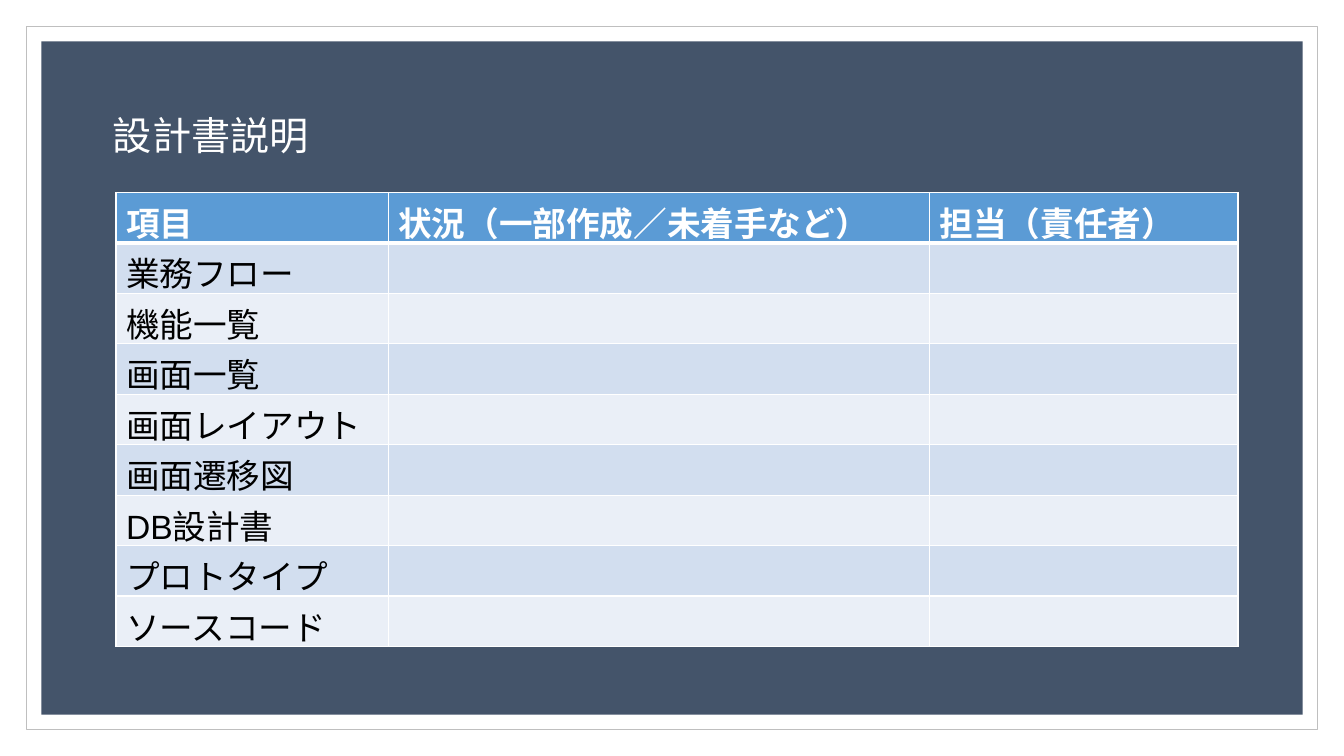
from dataclasses import dataclass

from lxml.etree import SubElement
from pptx import Presentation
from pptx.dml.color import RGBColor
from pptx.enum.shapes import MSO_SHAPE
from pptx.enum.text import MSO_ANCHOR, MSO_AUTO_SIZE, PP_ALIGN
from pptx.oxml.ns import qn
from pptx.util import Inches, Pt


@dataclass(frozen=True)
class Theme:
    white: str = "FFFFFF"
    black: str = "000000"
    outline: str = "BFBFBF"
    panel: str = "44546A"
    header: str = "5B9BD5"
    bands: tuple = ("D2DEEF", "EAEFF7")
    title_font: str = "Roboto"
    table_font: str = "Arial"
    title_size: int = 28
    table_size: int = 24


theme = Theme()


def style_font(font, name, size, color, bold=False):
    font.name, font.size, font.bold = name, Pt(size), bold
    font.color.rgb = RGBColor.from_string(color)


def add_border(cell, side, points):
    line = SubElement(cell._tc.get_or_add_tcPr(), qn(f"a:{side}"), w=str(Pt(points)))
    fill = SubElement(line, qn("a:solidFill"))
    SubElement(fill, qn("a:srgbClr"), val=theme.white)


deck = Presentation()
deck.slide_width, deck.slide_height = Inches(13.33), Inches(7.5)
page = deck.slides.add_slide(deck.slide_layouts[5])

# Outlined frame and dark panel, each centred on the slide
for margin, color, outline in ((0.26, theme.white, theme.outline),
                               (0.41, theme.panel, None)):
    inset = Inches(margin)
    box = page.shapes.add_shape(MSO_SHAPE.RECTANGLE, inset, inset,
                                deck.slide_width - 2 * inset,
                                deck.slide_height - 2 * inset)
    box.shadow.inherit = False
    box.fill.solid()
    box.fill.fore_color.rgb = RGBColor.from_string(color)
    if outline:
        box.line.color.rgb = RGBColor.from_string(outline)
        box.line.width = Pt(0.5)
    else:
        box.line.fill.background()

# Title, brought in front of the panel
title = page.shapes.title
title.element.getparent().append(title.element)
title.left, title.top = Inches(1.02), Inches(1.05)
title.width, title.height = Inches(2.17), Inches(0.57)
frame = title.text_frame
frame.text = "設計書説明"
frame.word_wrap = False
frame.auto_size = MSO_AUTO_SIZE.SHAPE_TO_FIT_TEXT
frame.vertical_anchor = MSO_ANCHOR.TOP
para = frame.paragraphs[0]
para.alignment = PP_ALIGN.LEFT
style_font(para.font, theme.title_font, theme.title_size, theme.white)

# Status table: one header row, then one row per design document
headings = ("項目", "状況（一部作成／未着手など）", "担当（責任者）")
documents = ("業務フロー", "機能一覧", "画面一覧", "画面レイアウト", "画面遷移図",
             "DB設計書", "プロトタイプ", "ソースコード")
rows = [headings] + [(document, "", "") for document in documents]
column_widths = (2.7, 5.37, 3.06)
row_height = Inches(0.5)

table = page.shapes.add_table(len(rows), len(headings), Inches(1.15), Inches(1.91),
                              Inches(sum(column_widths)), row_height * len(rows)).table
for column, width in zip(table.columns, column_widths):
    column.width = Inches(width)

for row_index, texts in enumerate(rows):
    is_header = row_index == 0
    table.rows[row_index].height = row_height
    for column_index, text in enumerate(texts):
        cell = table.cell(row_index, column_index)
        add_border(cell, "lnL", 1)
        add_border(cell, "lnR", 1)
        if is_header:
            add_border(cell, "lnT", 1)
        add_border(cell, "lnB", 3 if is_header else 1)
        cell.fill.solid()
        cell.fill.fore_color.rgb = RGBColor.from_string(
            theme.header if is_header else theme.bands[(row_index - 1) % 2])
        if text:
            cell.text = text
            style_font(cell.text_frame.paragraphs[0].font, theme.table_font,
                       theme.table_size, theme.white if is_header else theme.black,
                       is_header)

deck.save("out.pptx")
